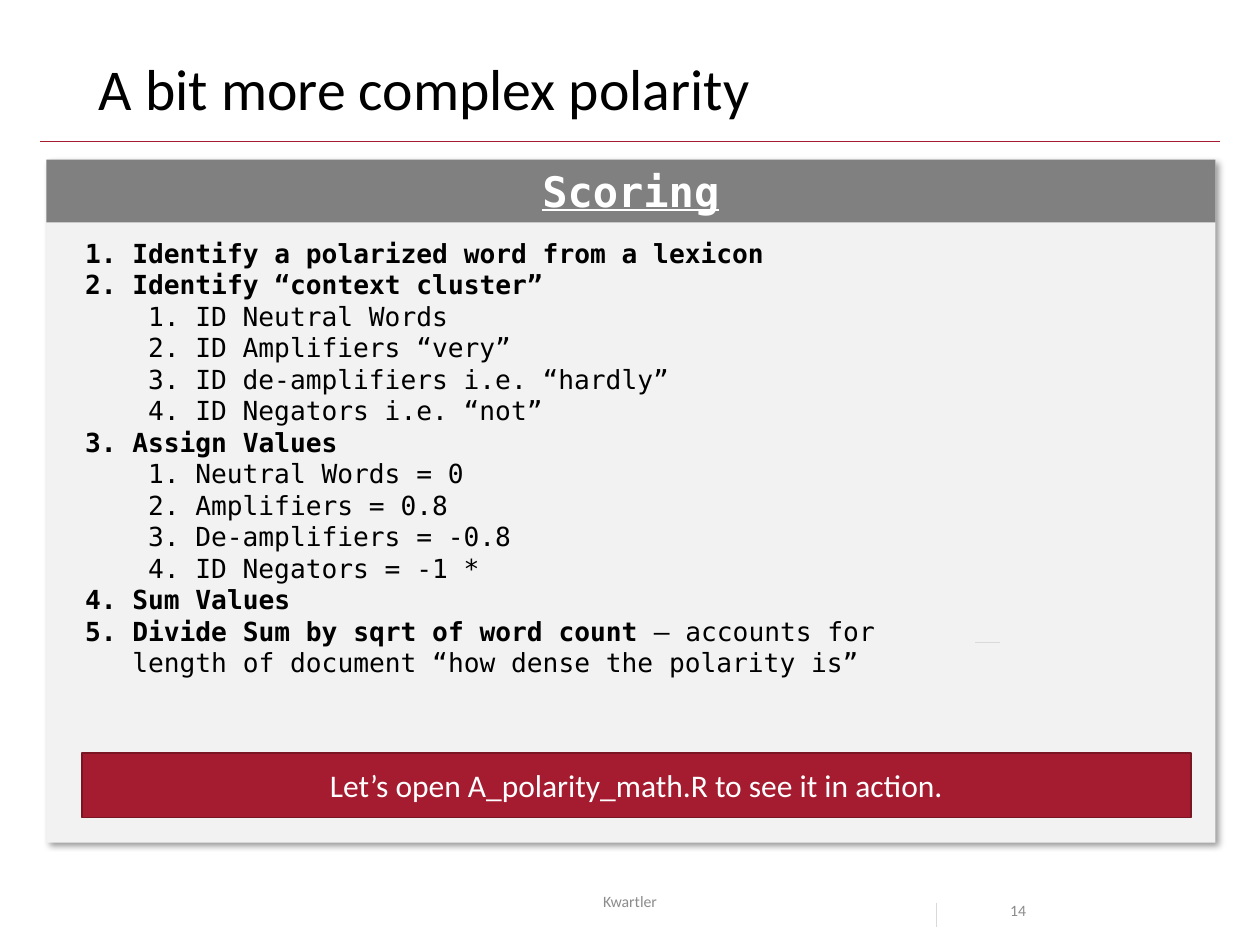
from lxml.etree import SubElement
from pptx import Presentation
from pptx.dml.color import RGBColor
from pptx.enum.shapes import MSO_CONNECTOR as Connector, MSO_SHAPE as Shape
from pptx.enum.text import MSO_ANCHOR as Anchor, MSO_AUTO_SIZE as AutoSize, PP_ALIGN as Align
from pptx.oxml.ns import qn
from pptx.util import Pt

BLACK = RGBColor(0x00, 0x00, 0x00)
WHITE = RGBColor(0xFF, 0xFF, 0xFF)
PANEL = RGBColor(0xF2, 0xF2, 0xF2)
GRAY = RGBColor(0x80, 0x80, 0x80)
FOOTER = RGBColor(0x8C, 0x8C, 0x8C)
RULE = RGBColor(0xD9, 0xD9, 0xD9)
CRIMSON = RGBColor(0xA5, 0x1C, 0x30)
DARK_CRIMSON = RGBColor(0x7A, 0x15, 0x24)
SANS, MONO = "Calibri", "DejaVu Sans Mono"


class SlideBuilder:
    """Draws styled elements on one slide, with lengths in points."""

    def __init__(self, slide):
        self.slide = slide

    def add_span(self, para, text, color, **formats):
        span = para.add_run()
        span.text = text
        span.font.color.rgb = color
        for name, value in formats.items():
            setattr(span.font, name, value)

    def fill_text(self, box, text, color, anchor=Anchor.MIDDLE, align=Align.LEFT, spacing=None, **formats):
        frame = box.text_frame
        frame.word_wrap = True
        frame.vertical_anchor = anchor
        para = frame.paragraphs[0]
        para.alignment = align
        para.line_spacing = spacing
        self.add_span(para, text, color, **formats)

    def text(self, place, *args, **formats):
        box = self.slide.shapes.add_textbox(*map(Pt, place))
        self.fill_text(box, *args, **formats)

    def rectangle(self, place, fill, border=None):
        box = self.slide.shapes.add_shape(Shape.RECTANGLE, *map(Pt, place))
        box.shadow.inherit = False
        box.fill.solid()
        box.fill.fore_color.rgb = fill
        if border is None:
            box.line.fill.background()
        else:
            box.line.color.rgb = border
            box.line.width = Pt(1)
        return box

    def cast_shadow(self, box):
        effects = box._element.spPr.find(qn("a:effectLst"))
        shadow = SubElement(effects, qn("a:outerShdw"), blurRad=str(Pt(4)), dist=str(Pt(3)),
                            dir=str(45 * 60000), algn="tl", rotWithShape="0")
        color = SubElement(shadow, qn("a:srgbClr"), val=str(BLACK))
        SubElement(color, qn("a:alpha"), val="40000")

    def line(self, ends, color):
        line = self.slide.shapes.add_connector(Connector.STRAIGHT, *map(Pt, ends))
        line.line.color.rgb = color
        line.line.width = Pt(0.5)
        SubElement(line._element.spPr, qn("a:effectLst"))

    def numbered_list(self, place, items):
        box = self.slide.shapes.add_textbox(*map(Pt, place))
        frame = box.text_frame
        frame.word_wrap = True
        frame.auto_size = AutoSize.SHAPE_TO_FIT_TEXT
        for index, (level, head, tail) in enumerate(items):
            para = frame.add_paragraph() if index else frame.paragraphs[0]
            para.level = level
            props = para._p.get_or_add_pPr()
            props.set("marL", str(Pt(27 + 36 * level)))
            props.set("indent", str(Pt(-27)))
            SubElement(props, qn("a:buFont"), typeface="+mj-lt")
            SubElement(props, qn("a:buAutoNum"), type="arabicPeriod")
            for words, bold in ((head, level == 0), (tail, False)):
                if words:
                    self.add_span(para, words, BLACK, name=MONO, size=Pt(15), bold=bold)


STEPS = [
    (0, "Identify a polarized word from a lexicon", ""),
    (0, "Identify “context cluster”", ""),
    (1, "ID Neutral Words", ""),
    (1, "ID Amplifiers “very”", ""),
    (1, "ID de-amplifiers i.e. “hardly”", ""),
    (1, "ID Negators i.e. “not”", ""),
    (0, "Assign Values", ""),
    (1, "Neutral Words = 0", ""),
    (1, "Amplifiers = 0.8", ""),
    (1, "De-amplifiers = -0.8", ""),
    (1, "ID Negators = -1 *", ""),
    (0, "Sum Values", ""),
    (0, "Divide Sum by sqrt of word count ",
     "– accounts for length of document “how dense the polarity is”"),
]

deck = Presentation()
deck.slide_width, deck.slide_height = Pt(720), Pt(540)
page = SlideBuilder(deck.slides.add_slide(deck.slide_layouts[6]))

page.line((23, 80.7, 697, 80.7), CRIMSON)
page.text((49.5, 28.8, 621, 46.8), "A bit more complex polarity", BLACK,
          spacing=0.9, name=SANS, size=Pt(33))

panel = page.rectangle((26.5, 91.2, 668, 390.4), PANEL)
page.cast_shadow(panel)
header = page.rectangle((26.5, 91.2, 668, 36), GRAY)
page.fill_text(header, "Scoring", WHITE, align=Align.CENTER,
               name=MONO, size=Pt(24), bold=True, underline=True)
page.numbered_list((41.5, 132, 491, 262), STEPS)

page.text((238.5, 500.5, 243, 28.8), "Kwartler", FOOTER, align=Align.CENTER, name=SANS, size=Pt(9))
callout = page.rectangle((46.8, 430.4, 633.8, 36.8), CRIMSON, DARK_CRIMSON)
page.fill_text(callout, "Let’s open A_polarity_math.R to see it in action.", WHITE,
               align=Align.CENTER, name=SANS, size=Pt(18))

page.line((535, 515.8, 535, 530), RULE)
page.line((557.3, 367.2, 571.7, 367.2), RULE)
page.text((570.2, 500.5, 67.7, 28.8), "14", FOOTER, anchor=Anchor.TOP, spacing=2.0,
          name=SANS, size=Pt(9))

deck.save("out.pptx")
